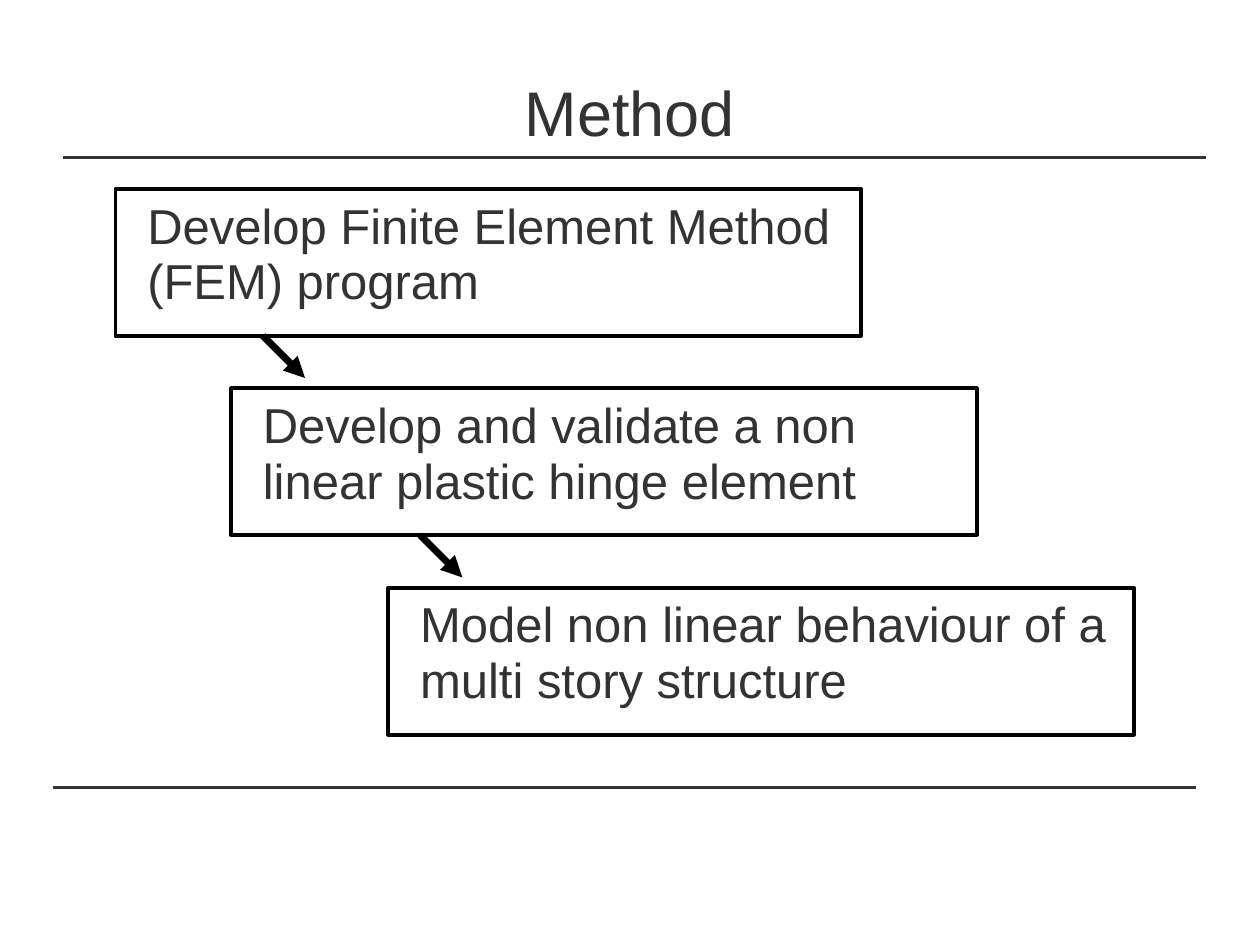
"""Build the Method slide: three research steps descending as a staircase."""
from lxml import etree
from pptx import Presentation
from pptx.dml.color import RGBColor
from pptx.enum.shapes import MSO_CONNECTOR, MSO_SHAPE
from pptx.enum.text import MSO_ANCHOR, PP_ALIGN
from pptx.oxml.ns import qn
from pptx.util import Cm, Pt

STRAIGHT = MSO_CONNECTOR.STRAIGHT
RECTANGLE = MSO_SHAPE.RECTANGLE
TOP, MIDDLE = MSO_ANCHOR.TOP, MSO_ANCHOR.MIDDLE
LEFT, CENTER = PP_ALIGN.LEFT, PP_ALIGN.CENTER

CHARCOAL = RGBColor(0x33, 0x33, 0x33)
BLACK = RGBColor(0x00, 0x00, 0x00)

STEPS = [
    (2.33, "Develop Finite Element Method (FEM) program"),
    (4.66, "Develop and validate a non linear plastic hinge element"),
    (7.83, "Model non linear behaviour of a multi story structure"),
]
FIRST_TOP, STEP_PITCH = 3.81, 4.02
STEP_WIDTH, STEP_HEIGHT = 15.03, 2.96
INDENT, TEXT_DROP = 0.64, 0.21
ARROW_REACH = 0.85
RULE_LENGTH = 23.04


class SlideBuilder:
    font = "Arial"
    line_spacing = 0.95

    def __init__(self, slide):
        self.shapes = slide.shapes

    def text(self, words, left, top, width, height, size,
             align=LEFT, anchor=TOP, before=0, after=0):
        box = self.shapes.add_textbox(Cm(left), Cm(top), Cm(width), Cm(height))
        frame = box.text_frame
        frame.word_wrap = True
        frame.vertical_anchor = anchor
        frame.margin_left = frame.margin_right = 0
        frame.margin_top = frame.margin_bottom = 0
        paragraph = frame.paragraphs[0]
        paragraph.alignment = align
        paragraph.line_spacing = self.line_spacing
        paragraph.space_before = Pt(before)
        paragraph.space_after = Pt(after)
        run = paragraph.add_run()
        run.text = words
        run.font.name = self.font
        run.font.size = Pt(size)
        run.font.color.rgb = CHARCOAL

    def outline(self, left, top, width, height):
        frame = self.shapes.add_shape(
            RECTANGLE, Cm(left), Cm(top), Cm(width), Cm(height))
        frame.shadow.inherit = False
        frame.fill.background()
        frame.line.color.rgb = BLACK
        frame.line.width = Pt(2.25)

    def line(self, x1, y1, x2, y2, color, weight):
        connector = self.shapes.add_connector(
            STRAIGHT, Cm(x1), Cm(y1), Cm(x2), Cm(y2))
        connector.line.color.rgb = color
        connector.line.width = Pt(weight)
        etree.SubElement(connector._element.spPr, qn("a:effectLst"))
        return connector

    def rule(self, left, top):
        self.line(left, top, left + RULE_LENGTH, top, CHARCOAL, 1.45)

    def arrow(self, left, top):
        arrow = self.line(left, top, left + ARROW_REACH, top + ARROW_REACH,
                          BLACK, 4)
        etree.SubElement(arrow.line._get_or_add_ln(), qn("a:tailEnd"),
                         type="triangle")

    def step(self, words, left, top):
        self.text(words, left + INDENT, top + TEXT_DROP, 13.97, 2.54, 28,
                  before=8, after=7.3)
        self.outline(left, top, STEP_WIDTH, STEP_HEIGHT)


def main():
    deck = Presentation()
    deck.slide_width, deck.slide_height = Cm(25.4), Cm(19.05)
    builder = SlideBuilder(deck.slides.add_slide(deck.slide_layouts[6]))

    builder.text("Method", 2.54, 1.69, 20.32, 1.27, 36, CENTER, MIDDLE)
    builder.rule(1.27, 3.17)
    builder.rule(1.06, 15.88)

    for index, (left, words) in enumerate(STEPS):
        top = FIRST_TOP + index * STEP_PITCH
        builder.step(words, left, top)
        if index:
            builder.arrow(left + INDENT, top - STEP_PITCH + STEP_HEIGHT)

    deck.save("out.pptx")


if __name__ == "__main__":
    main()
